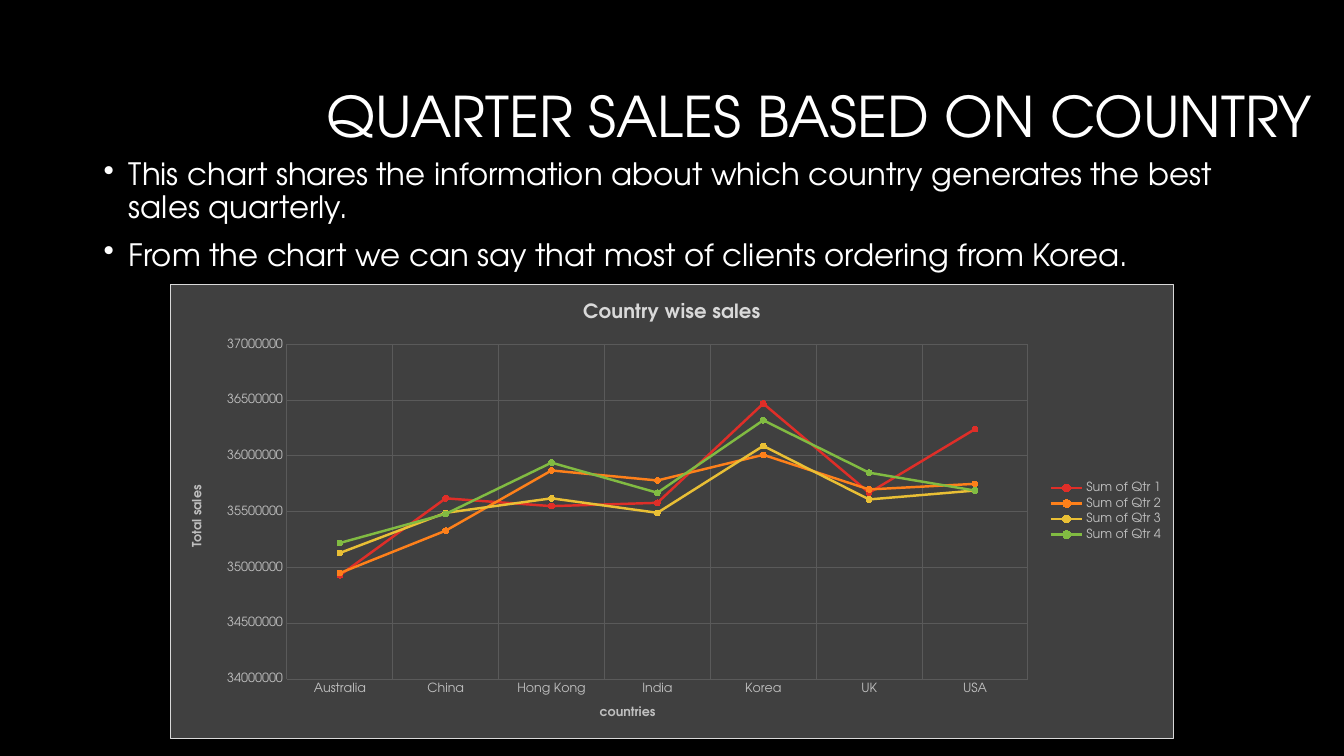
from dataclasses import dataclass

import lxml.etree
import pptx
import pptx.chart.data
import pptx.dml.color
import pptx.enum.chart
import pptx.enum.text
import pptx.oxml
import pptx.oxml.ns
import pptx.util

Pt = pptx.util.Pt
qn = pptx.oxml.ns.qn


@dataclass(frozen=True)
class Theme:
    face: str = "TeX Gyre Adventor"
    background: str = "000000"
    text: str = "FFFFFF"
    panel: str = "404040"
    border: str = "D9D9D9"
    grid: str = "5A5A5A"
    label: str = "BFBFBF"
    series: tuple = ("DF2E28", "FE801A", "E9BF35", "81BB42")
    title_size: float = 40
    body_size: float = 22
    chart_title_size: float = 14
    label_size: float = 9


THEME = Theme()

TITLE = "QUARTER SALES BASED ON COUNTRY"
BULLETS = (
    "This chart shares the information about which country generates the best sales quarterly.",
    "From the chart we can say that most of clients ordering from Korea.",
)
COUNTRIES = ("Australia", "China", "Hong Kong", "India", "Korea", "UK", "USA")
SALES = {  # in millions
    "Sum of Qtr 1": (34.93, 35.62, 35.55, 35.58, 36.47, 35.67, 36.24),
    "Sum of Qtr 2": (34.95, 35.33, 35.87, 35.78, 36.01, 35.70, 35.75),
    "Sum of Qtr 3": (35.13, 35.49, 35.62, 35.49, 36.09, 35.61, 35.69),
    "Sum of Qtr 4": (35.22, 35.48, 35.94, 35.67, 36.32, 35.85, 35.69),
}


def rgb(color):
    return pptx.dml.color.RGBColor.from_string(color)


def set_font(font, size, color, bold=False):
    font.name = THEME.face
    font.size = Pt(size)
    font.bold = bold
    font.color.rgb = rgb(color)


def set_line(line, color, width):
    line.color.rgb = rgb(color)
    line.width = Pt(width)


def add_text_frame(slide, box):
    tf = slide.shapes.add_textbox(*map(Pt, box)).text_frame
    tf.word_wrap = True
    return tf


def add_title(slide, box):
    tf = add_text_frame(slide, box)
    tf.vertical_anchor = pptx.enum.text.MSO_ANCHOR.MIDDLE
    p = tf.paragraphs[0]
    p.text = TITLE
    p.alignment = pptx.enum.text.PP_ALIGN.RIGHT
    p.line_spacing = 0.9
    set_font(p.font, THEME.title_size, THEME.text)


def add_bullets(slide, box):
    tf = add_text_frame(slide, box)
    for i, text in enumerate(BULLETS):
        p = tf.add_paragraph() if i else tf.paragraphs[0]
        p.text = text
        p.line_spacing = 0.9
        p.space_before = Pt(10)
        set_font(p.font, THEME.body_size, THEME.text)
        # Hanging indent and bullet sign go ahead of the default run properties
        pPr = p._p.get_or_add_pPr()
        pPr.set("marL", str(Pt(18)))
        pPr.set("indent", str(-Pt(18)))
        bullet = pptx.oxml.parse_xml(
            f'<a:buChar {pptx.oxml.ns.nsdecls("a")} char="•"/>')
        pPr.find(qn("a:defRPr")).addprevious(bullet)


def add_chart_title(owner, text, size, color):
    tf = owner.text_frame
    tf.text = text
    set_font(tf.paragraphs[0].font, size, color, bold=True)


def style_axis(axis, title):
    axis.has_major_gridlines = True
    set_line(axis.major_gridlines.format.line, THEME.grid, 0.75)
    axis.format.line.fill.background()
    axis.major_tick_mark = pptx.enum.chart.XL_TICK_MARK.NONE
    set_font(axis.tick_labels.font, THEME.label_size, THEME.label)
    add_chart_title(axis.axis_title, title, THEME.label_size, THEME.label)


def style_panel(chart):
    """Fill and frame the chart area."""
    spPr = pptx.oxml.parse_xml(
        f'<c:spPr {pptx.oxml.ns.nsdecls("c", "a")}>'
        f'<a:solidFill><a:srgbClr val="{THEME.panel}"/></a:solidFill>'
        f'<a:ln w="{Pt(0.75)}"><a:solidFill><a:srgbClr val="{THEME.border}"/>'
        '</a:solidFill></a:ln></c:spPr>')
    chart._chartSpace.find(qn("c:chart")).addnext(spPr)


def place_plot(chart, x, y, w, h):
    """Set the inner plot area as fractions of the chart."""
    plot_area = chart._chartSpace.find(qn("c:chart")).find(qn("c:plotArea"))
    layout = plot_area.find(qn("c:layout"))
    if layout is None:
        layout = lxml.etree.Element(qn("c:layout"))
        plot_area.insert(0, layout)
    manual = lxml.etree.SubElement(layout, qn("c:manualLayout"))
    for tag, value in (("layoutTarget", "inner"), ("xMode", "edge"), ("yMode", "edge"),
                       ("x", x), ("y", y), ("w", w), ("h", h)):
        lxml.etree.SubElement(manual, qn(f"c:{tag}")).set("val", str(value))


def add_sales_chart(slide, box):
    data = pptx.chart.data.CategoryChartData(number_format="General")
    data.categories = COUNTRIES
    for name, millions in SALES.items():
        data.add_series(name, [round(m * 1_000_000) for m in millions])
    chart = slide.shapes.add_chart(
        pptx.enum.chart.XL_CHART_TYPE.LINE_MARKERS, *map(Pt, box), data).chart
    set_font(chart.font, THEME.label_size, THEME.label)
    style_panel(chart)
    place_plot(chart, x=0.116, y=0.133, w=0.739, h=0.736)

    # Titles and axes
    add_chart_title(chart.chart_title, "Country wise sales",
                    THEME.chart_title_size, THEME.border)
    chart.chart_title.include_in_layout = False
    style_axis(chart.category_axis, "countries")
    style_axis(chart.value_axis, "Total sales")
    chart.value_axis.minimum_scale = 34_000_000
    chart.value_axis.maximum_scale = 37_000_000
    chart.value_axis.major_unit = 500_000

    # Legend
    chart.has_legend = True
    chart.legend.position = pptx.enum.chart.XL_LEGEND_POSITION.RIGHT
    chart.legend.include_in_layout = False
    set_font(chart.legend.font, THEME.label_size, THEME.label)

    # Quarter lines
    chart.plots[0].vary_by_categories = False
    for series, color in zip(chart.plots[0].series, THEME.series):
        series.smooth = False
        set_line(series.format.line, color, 1.75)
        marker = series.marker
        marker.style = pptx.enum.chart.XL_MARKER_STYLE.CIRCLE
        marker.size = 4
        marker.format.fill.solid()
        marker.format.fill.fore_color.rgb = rgb(color)
        set_line(marker.format.line, color, 0.75)


def main():
    prs = pptx.Presentation()
    prs.slide_width, prs.slide_height = Pt(960), Pt(540)
    slide = prs.slides.add_slide(prs.slide_layouts[6])
    slide.background.fill.solid()
    slide.background.fill.fore_color.rgb = rgb(THEME.background)

    add_title(slide, (129, 36, 815, 99))
    add_bullets(slide, (67, 110, 815, 99))
    add_sales_chart(slide, (121.5, 202.5, 717, 325.5))
    prs.save("out.pptx")


if __name__ == "__main__":
    main()
